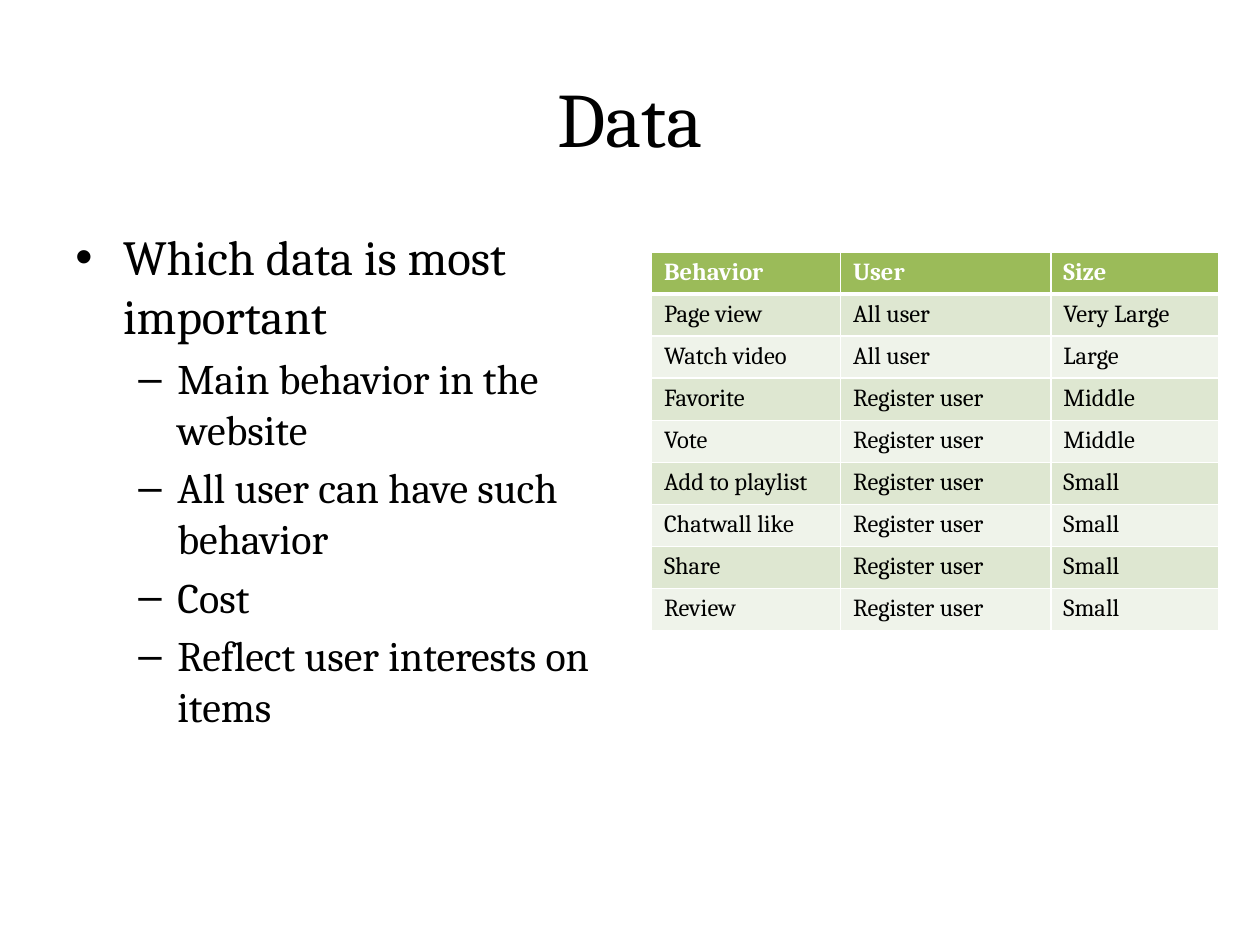
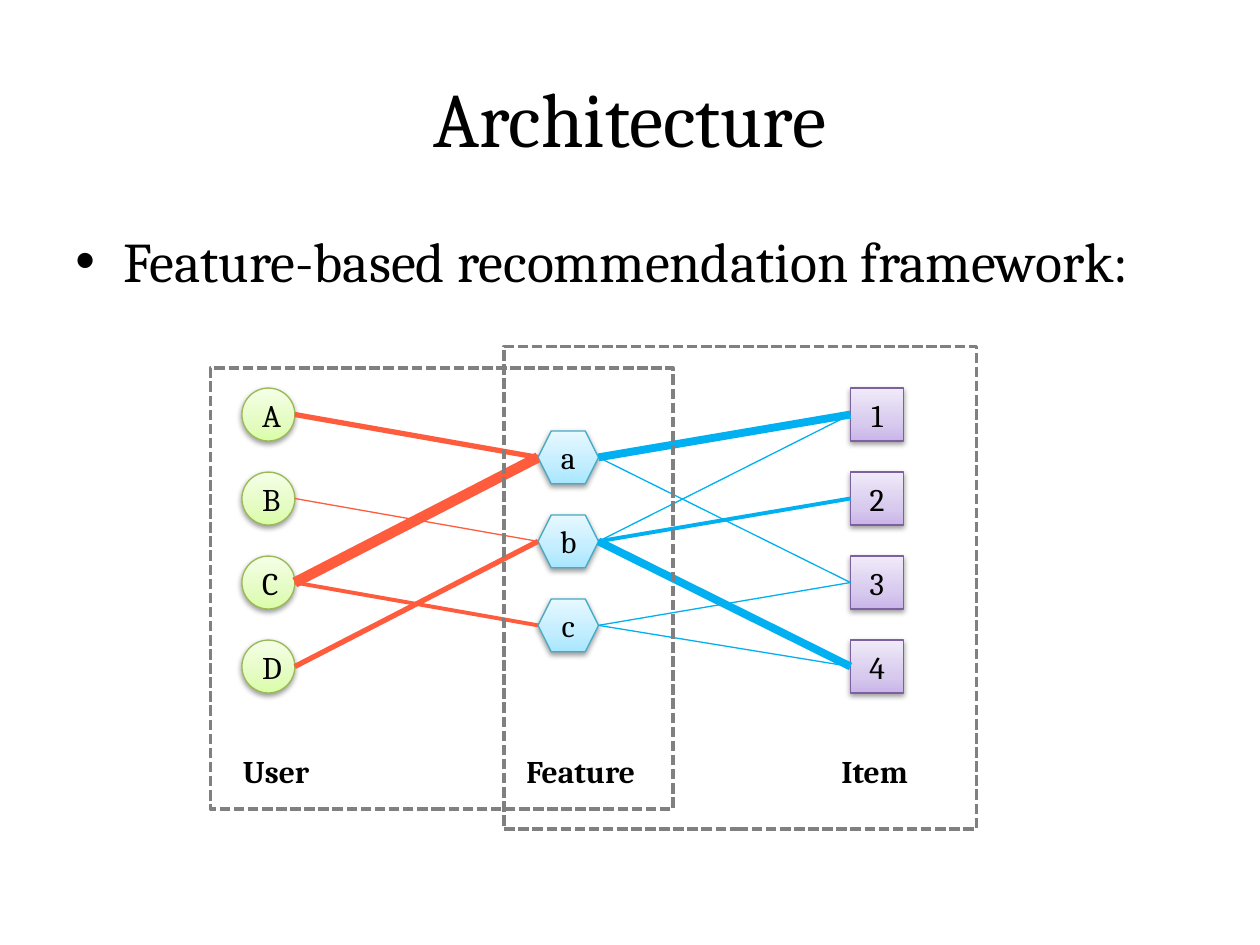
from copy import deepcopy

from lxml.etree import SubElement as Sub
from pptx import Presentation
from pptx.dml.color import RGBColor as RGB
from pptx.enum.dml import MSO_LINE as Dash
from pptx.enum.shapes import MSO_CONNECTOR as Conn, MSO_SHAPE as Kind
from pptx.enum.text import MSO_ANCHOR as Anchor, MSO_AUTO_SIZE as Auto, PP_ALIGN as Align
from pptx.oxml.ns import qn
from pptx.util import Inches, Pt

# Shared style
FONT = "Cambria"
BLACK = RGB(0x00, 0x00, 0x00)
WHITE = RGB(0xFF, 0xFF, 0xFF)
GRAY = RGB(0x80, 0x80, 0x80)
GREEN = RGB(0x9B, 0xBB, 0x59)
BANDS = RGB(0xDE, 0xE7, 0xD1), RGB(0xEF, 0xF3, 0xEA)
RED = RGB(0xFE, 0x5C, 0x3C)
BLUE = RGB(0x00, 0xB0, 0xF0)

# Node looks: outline, then gradient colours from bottom to top
LIME = (RGB(0x98, 0xB9, 0x55), RGB(0xDA, 0xFD, 0xA7),
        RGB(0xE4, 0xFC, 0xC2), RGB(0xF5, 0xFF, 0xE7))
PURPLE = (RGB(0x7D, 0x60, 0xA0), RGB(0xC9, 0xB5, 0xE8),
          RGB(0xD8, 0xCB, 0xEE), RGB(0xF0, 0xEA, 0xF9))
AQUA = (RGB(0x46, 0xAA, 0xC5), RGB(0xA7, 0xE6, 0xFF),
        RGB(0xC1, 0xED, 0xFF), RGB(0xE7, 0xF8, 0xFF))

# Bullet levels: sign, left margin, hanging indent
LEVELS = ("•", 0.38, 0.38), ("–", 0.81, 0.31)


def write(para, text, size=18, color=BLACK, bold=False, align=None):
    """Add formatted text to a paragraph."""
    run = para.add_run()
    run.text = text
    font = run.font
    font.name, font.size, font.bold = FONT, Pt(size), bold
    font.color.rgb = color
    para.alignment = align


class Deck:
    """Holds the style and the current slide."""

    def __init__(self):
        self.prs = Presentation()
        self.prs.slide_width, self.prs.slide_height = Inches(10), Inches(7.5)

    def start(self, title):
        self.shapes = self.prs.slides.add_slide(self.prs.slide_layouts[6]).shapes
        frame = self.box(0.5, 0.3, 9, 1.25)
        frame.vertical_anchor = Anchor.MIDDLE
        write(frame.paragraphs[0], title, size=44, align=Align.CENTER)

    def box(self, *area, wrap=True):
        frame = self.shapes.add_textbox(*map(Inches, area)).text_frame
        frame.word_wrap = wrap
        return frame

    def label(self, text, *area):
        frame = self.box(*area, wrap=False)
        frame.auto_size = Auto.SHAPE_TO_FIT_TEXT
        write(frame.paragraphs[0], text, bold=True)

    def body(self, width, lines, sizes):
        frame = self.box(0.5, 1.75, width, 4.95)
        for i, (level, text) in enumerate(lines):
            para = frame.add_paragraph() if i else frame.paragraphs[0]
            para.level = level
            para.space_before = Pt(0.2 * sizes[level])
            write(para, text, size=sizes[level])
            sign, left, hang = LEVELS[level]
            props = para._p.get_or_add_pPr()
            props.set("marL", str(Inches(left)))
            props.set("indent", str(-Inches(hang)))
            Sub(props, qn("a:buFont"), typeface="Arial")
            Sub(props, qn("a:buChar"), char=sign)

    def table(self, left, top, widths, height, rows):
        grid = self.shapes.add_table(
            len(rows), len(widths), Inches(left), Inches(top),
            Inches(sum(widths)), Inches(height * len(rows))).table
        grid.horz_banding = False
        for col, width in zip(grid.columns, widths):
            col.width = Inches(width)
        for r, row in enumerate(rows):
            head = r == 0
            for c, text in enumerate(row):
                cell = grid.cell(r, c)
                write(cell.text_frame.paragraphs[0], text, size=14,
                      color=WHITE if head else BLACK, bold=head)
                cell.fill.solid()
                cell.fill.fore_color.rgb = GREEN if head else BANDS[(r - 1) % 2]
                self.edges(cell, top=3 if r == 1 else 1, base=3 if head else 1)

    def edges(self, cell, top, base):
        props = cell._tc.get_or_add_tcPr()
        for i, (side, width) in enumerate(zip("LRTB", (1, 1, top, base))):
            line = Sub(props, qn(f"a:ln{side}"), w=str(Pt(width)))
            Sub(Sub(line, qn("a:solidFill")), qn("a:srgbClr"), val=str(WHITE))
            props.insert(i, line)

    def node(self, kind, text, look, *area):
        shape = self.shapes.add_shape(kind, *map(Inches, area))
        edge, *tints = look
        shape.line.color.rgb, shape.line.width = edge, Pt(0.75)
        # Three-stop gradient
        fill = shape.fill
        fill.gradient()
        fill.gradient_angle = 90
        props = shape._element.spPr
        stops = props.find(".//" + qn("a:gsLst"))
        stops.append(deepcopy(stops[0]))
        for stop, place, tint in zip(fill.gradient_stops, (0, 0.35, 1), tints):
            stop.position, stop.color.rgb = place, tint
        # Soft shadow below
        shape.shadow.inherit = False
        cast = Sub(props.find(qn("a:effectLst")), qn("a:outerShdw"),
                   blurRad=str(Pt(3.1)), dist=str(Pt(1.6)),
                   dir="5400000", rotWithShape="0")
        tone = Sub(cast, qn("a:srgbClr"), val=str(BLACK))
        Sub(tone, qn("a:alpha"), val="38000")
        write(shape.text_frame.paragraphs[0], text, align=Align.CENTER)
        return shape

    def link(self, start, end, color, width, glue=False):
        line = self.shapes.add_connector(
            Conn.STRAIGHT, start.left + start.width, start.top + start.height // 2,
            end.left, end.top + end.height // 2)
        if glue:
            line.end_connect(end, 1)
        line.line.color.rgb, line.line.width = color, Pt(width)
        Sub(line._element.spPr, qn("a:effectLst"))

    def frame(self, *area):
        shape = self.shapes.add_shape(Kind.RECTANGLE, *map(Inches, area))
        shape.shadow.inherit = False
        shape.fill.background()
        shape.line.color.rgb, shape.line.width = GRAY, Pt(2)
        shape.line.dash_style = Dash.SQUARE_DOT


def data(deck):
    deck.start("Data")
    deck.body(4.5, [
        (0, "Which data is most important"),
        (1, "Main behavior in the website"),
        (1, "All user can have such behavior"),
        (1, "Cost"),
        (1, "Reflect user interests on items"),
    ], sizes=(28, 24))
    deck.table(5.17, 2, (1.5, 1.67, 1.33), 0.32, [
        ("Behavior", "User", "Size"),
        ("Page view", "All user", "Very Large"),
        ("Watch video", "All user", "Large"),
        ("Favorite", "Register user", "Middle"),
        ("Vote", "Register user", "Middle"),
        ("Add to playlist", "Register user", "Small"),
        ("Chatwall like", "Register user", "Small"),
        ("Share", "Register user", "Small"),
        ("Review", "Register user", "Small"),
    ])


def design(deck):
    deck.start("Architecture")
    deck.body(9, [(0, "Feature-based recommendation framework:")], sizes=(32,))

    # Columns of nodes: shape, names, look, left, top, width
    nodes = {}
    for kind, names, look, left, top, width in (
            (Kind.OVAL, "ABCD", LIME, 1.92, 3.08, 0.42),
            (Kind.RECTANGLE, "1234", PURPLE, 6.75, 3.08, 0.42),
            (Kind.HEXAGON, "abc", AQUA, 4.27, 3.42, 0.48)):
        for i, name in enumerate(names):
            nodes[name] = deck.node(kind, name, look, left, top + i * 2 / 3, width, 0.42)

    # Weighted links: user to feature in red, feature to item in blue
    for pair, width in (
            ("Aa", 3), ("a1", 4.5), ("a3", 0.75), ("Bb", 0.75),
            ("b1", 0.75), ("b4", 4.5), ("Ca", 6), ("Cc", 2.25),
            ("c3", 0.75), ("c4", 0.75), ("Db", 3), ("b2", 2.25)):
        start, end = pair
        item = end.isdigit()
        deck.link(nodes[start], nodes[end], BLUE if item else RED, width, glue=item)

    # Column labels and group frames
    for text, left, width in (("User", 1.83, 0.74), ("Feature", 4.08, 1.09),
                              ("Item", 6.58, 0.74)):
        deck.label(text, left, 5.92, width, 0.4)
    deck.frame(1.67, 2.92, 3.67, 3.5)
    deck.frame(4, 2.75, 3.75, 3.83)


def main():
    deck = Deck()
    data(deck)
    design(deck)
    deck.prs.save("out.pptx")


if __name__ == "__main__":
    main()
